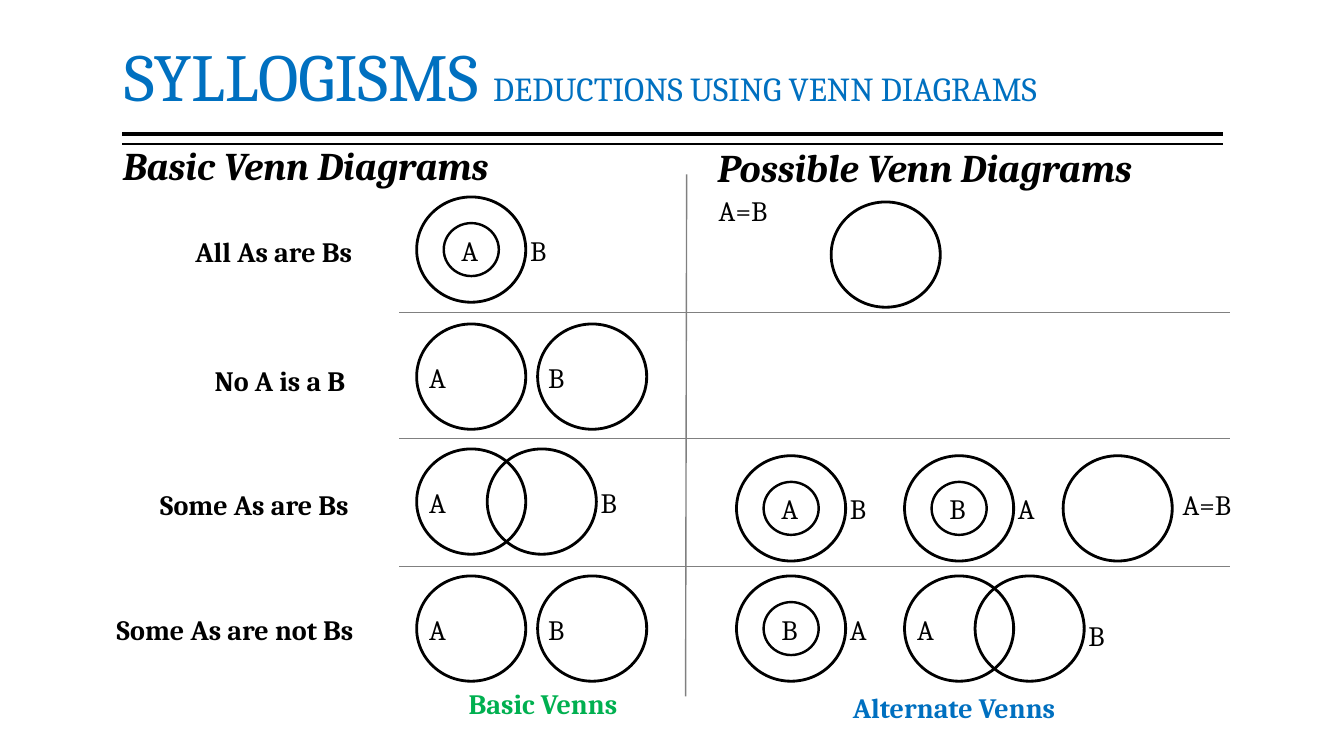
from dataclasses import dataclass
from lxml.etree import SubElement
from pptx import Presentation
from pptx.dml.color import RGBColor as Rgb
from pptx.enum.shapes import MSO_CONNECTOR as Link, MSO_SHAPE as Preset
from pptx.enum.text import MSO_ANCHOR as Anchor, MSO_AUTO_SIZE as Fit, PP_ALIGN as Align
from pptx.oxml.ns import qn
from pptx.util import Inches, Pt


@dataclass(frozen=True)
class Theme:
    font: str = "Cambria"
    ink: Rgb = Rgb(0, 0, 0)
    blue: Rgb = Rgb(0x00, 0x70, 0xC0)
    green: Rgb = Rgb(0x00, 0xB0, 0x50)
    grid: Rgb = Rgb(0x80, 0x80, 0x80)
    title: int = 48
    subtitle: int = 24
    heading: int = 28
    body: int = 20


class VennSlide:
    ring_size = (8.33, 14.3)
    core_size = (4.28, 7.33)
    letter_width = 2.8
    letter_drop = 4.3
    line_height = 5.83

    def __init__(self, deck, theme):
        self.deck, self.theme = deck, theme
        self.slide = deck.slides.add_slide(deck.slide_layouts[5])

    def across(self, percent):
        return round(self.deck.slide_width * percent / 100)

    def down(self, percent):
        return round(self.deck.slide_height * percent / 100)

    def area(self, x, y, width, height):
        return self.across(x), self.down(y), self.across(width), self.down(height)

    def style(self, font, size, color, bold=False, italic=False):
        font.name, font.size = self.theme.font, Pt(size)
        font.color.rgb, font.bold, font.italic = color, bold, italic

    def title(self, area, lead, detail):
        heading = self.slide.shapes.title
        heading.left, heading.top, heading.width, heading.height = self.area(*area)
        frame = heading.text_frame
        frame.margin_left = frame.margin_right = 0
        frame.vertical_anchor, frame.auto_size = Anchor.MIDDLE, Fit.NONE
        line = frame.paragraphs[0]
        line.alignment, line.line_spacing = Align.LEFT, 0.9
        for words, size in ((lead, self.theme.title), (detail, self.theme.subtitle)):
            run = line.add_run()
            run.text = words
            self.style(run.font, size, self.theme.blue)

    def text(self, words, x, y, width, color=None, bold=False):
        frame = self.slide.shapes.add_textbox(
            *self.area(x, y, width, self.line_height)).text_frame
        frame.word_wrap, frame.auto_size = False, Fit.SHAPE_TO_FIT_TEXT
        line = frame.paragraphs[0]
        line.text = words
        self.style(line.font, self.theme.body, color or self.theme.ink, bold)

    def heading(self, words, x, y):
        frame = self.slide.shapes.add_textbox(*self.area(x, y, 34.4, 6.8)).text_frame
        frame.word_wrap = True
        line = frame.paragraphs[0]
        line.text, line.line_spacing = words, 0.8
        self.style(line.font, self.theme.heading, self.theme.ink, True, True)

    def rule(self, start, end, color, weight=1):
        rule = self.slide.shapes.add_connector(
            Link.STRAIGHT, self.across(start[0]), self.down(start[1]),
            self.across(end[0]), self.down(end[1]))
        rule.line.color.rgb, rule.line.width = color, Pt(weight)
        SubElement(rule.element.spPr, qn("a:effectLst"))

    def ring(self, x, y, size=ring_size, thickness=0.026):
        ring = self.slide.shapes.add_shape(Preset.DONUT, *self.area(x, y, *size))
        ring.adjustments[0] = thickness
        ring.shadow.inherit = False
        ring.fill.solid()
        ring.fill.fore_color.rgb = self.theme.ink
        ring.line.fill.background()

    def letter(self, name, x, y):
        self.text(name, x, y + self.letter_drop, self.letter_width)

    def nested(self, x, y, inner, outer):
        inset_x, inset_y = ((ring - core) / 2 for ring, core
                            in zip(self.ring_size, self.core_size))
        self.ring(x, y)
        self.ring(x + inset_x, y + inset_y, self.core_size, 0.044)
        self.letter(inner, x + 2.7, y)
        self.letter(outer, x + 7.8, y)

    def pair(self, x, y, gap, b_shift, b_drop=0):
        self.ring(x, y)
        self.ring(x + gap, y)
        self.letter("A", x + 0.3, y)
        self.letter("B", x + b_shift, y + b_drop)

    def disjoint(self, x, y):
        self.pair(x, y, 9, 9.15)

    def overlapping(self, x, y, b_drop=0):
        self.pair(x, y, 5.25, 13.05, b_drop)


deck = Presentation()
deck.slide_width, deck.slide_height = Inches(13.33), Inches(7.5)
theme = Theme()
venn = VennSlide(deck, theme)

venn.title((9.23, 4.93, 73.74, 11.33), "SYLLOGISMS ", "DEDUCTIONS USING VENN DIAGRAMS")
for level, weight in ((17.73, 3), (19.07, 1)):
    venn.rule((9.1, level), (91, level), theme.ink, weight)
venn.heading("Basic Venn Diagrams", 8.4, 19.2)
venn.heading("Possible Venn Diagrams", 52.66, 19.47)

statements = (("All As are Bs", 13.8, 30.4, 13.43), ("No A is a B", 15.23, 47.47, 11.48),
              ("Some As are Bs", 11.18, 63.87, 16.05),
              ("Some As are not Bs", 7.95, 80.4, 19.73))
for statement, x, y, width in statements:
    venn.text(statement, x, y, width, bold=True)

basic = 30.9
all_row, none_row, some_row, some_not_row = 25.87, 42.67, 59.2, 76
venn.nested(basic, all_row, "A", "B")
venn.disjoint(basic, none_row)
venn.overlapping(basic, some_row)
venn.disjoint(basic, some_not_row)

possible, second, third = 54.7, 67.2, 79
some_possible = 60.1
venn.ring(61.74, 26.53)
venn.nested(possible, some_possible, "A", "B")
venn.nested(second, some_possible, "B", "A")
venn.ring(third, some_possible)
venn.nested(possible, some_not_row, "B", "A")
venn.overlapping(second, some_not_row, 0.8)
for x, y in ((52.74, 24.93), (87.25, 63.87)):
    venn.text("A=B", x, y, 5.25)

for level in (41.33, 58, 74.93):
    venn.rule((29.7, level), (91.5, level), theme.grid)
venn.rule((51.09, 23.07), (51.01, 92.13), theme.grid)
venn.text("Basic Venns", 34.13, 90.13, 12.9, theme.green, True)
venn.text("Alternate Venns", 62.72, 90.67, 16.88, theme.blue, True)

deck.save("out.pptx")
